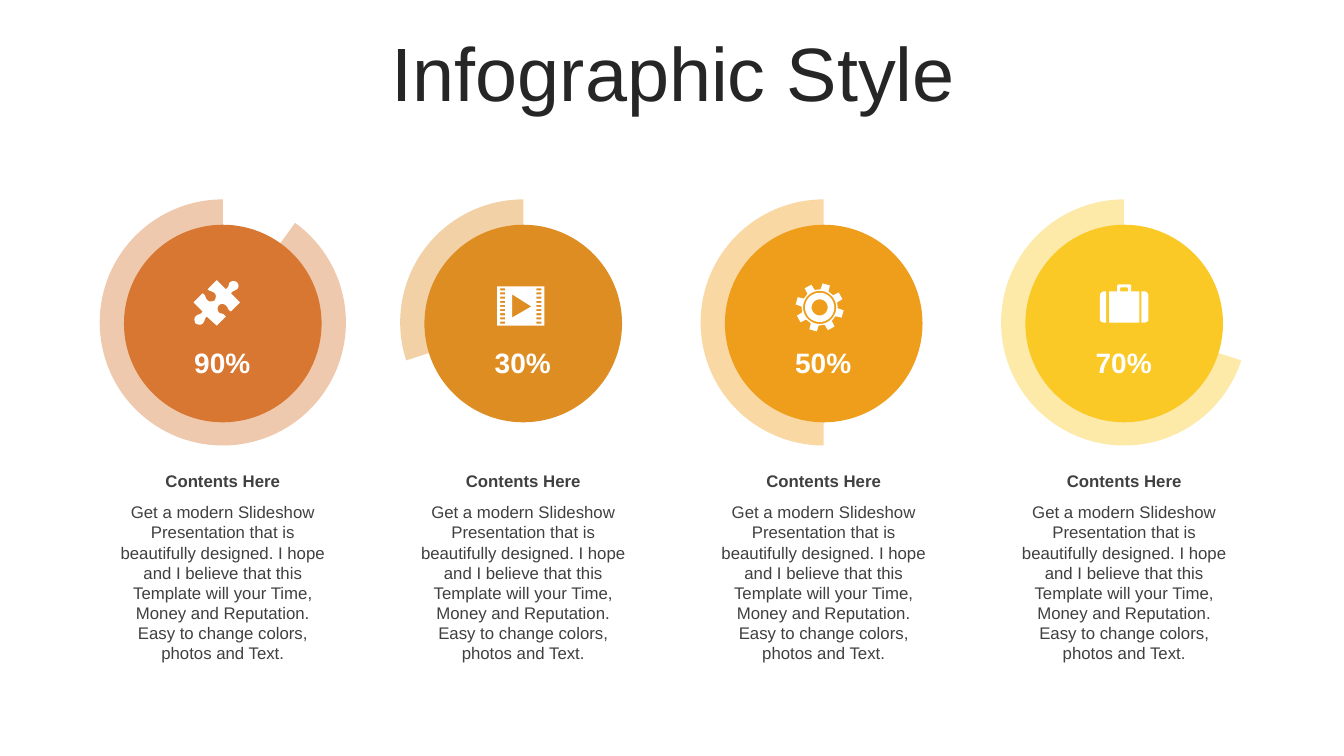
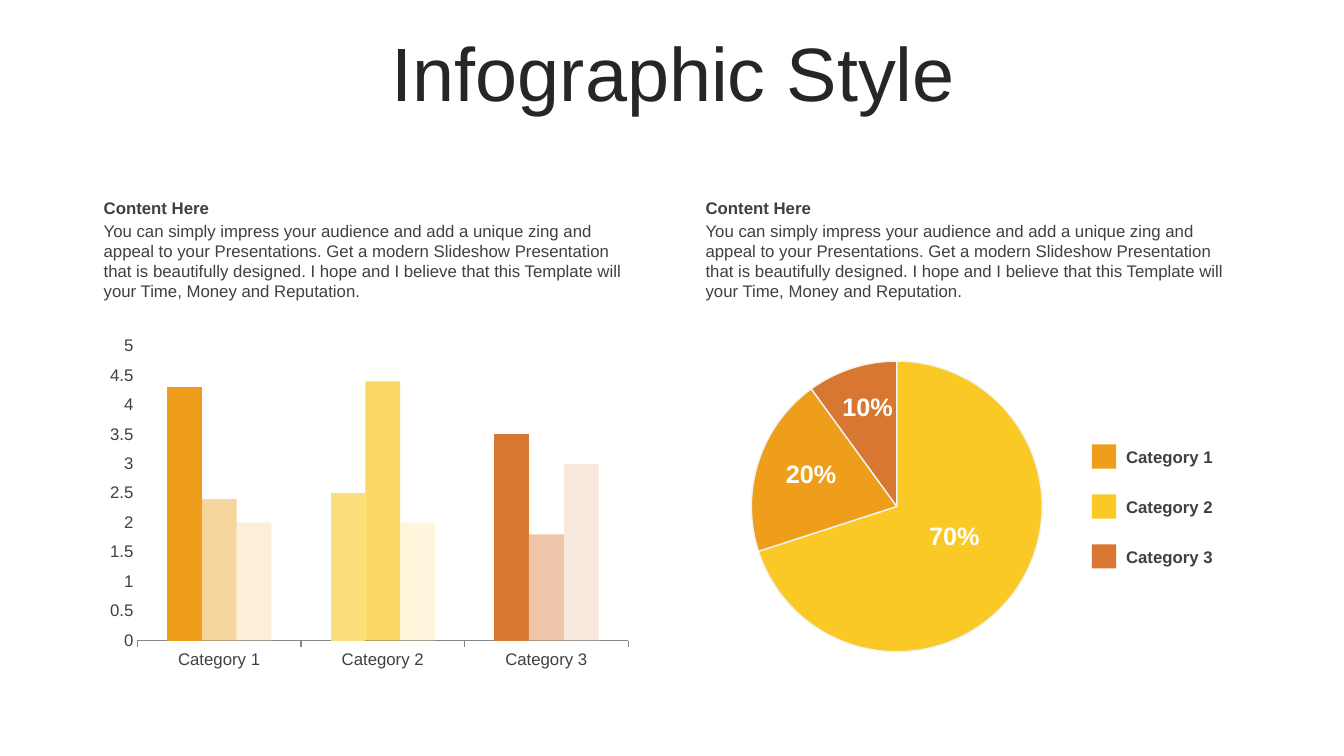
from dataclasses import dataclass
from math import cos, radians, sin

from lxml import etree
from pptx import Presentation
from pptx.chart.data import CategoryChartData
from pptx.dml.color import RGBColor
from pptx.enum.chart import XL_CHART_TYPE, XL_TICK_MARK
from pptx.enum.shapes import MSO_SHAPE
from pptx.enum.text import MSO_ANCHOR, PP_ALIGN
from pptx.oxml.ns import qn
from pptx.util import Inches, Pt

PIE, COLUMNS = XL_CHART_TYPE.PIE, XL_CHART_TYPE.COLUMN_CLUSTERED
TICK_NONE, TICK_OUTSIDE = XL_TICK_MARK.NONE, XL_TICK_MARK.OUTSIDE
OVAL, RECTANGLE = MSO_SHAPE.OVAL, MSO_SHAPE.RECTANGLE
TOP, MIDDLE = MSO_ANCHOR.TOP, MSO_ANCHOR.MIDDLE
LEFT, CENTER = PP_ALIGN.LEFT, PP_ALIGN.CENTER


@dataclass(frozen=True)
class Theme:
    font: str = "Arial"
    title_size: int = 54
    percent_size: int = 20
    label_size: int = 18
    body_size: int = 12
    title: str = "262626"
    body: str = "404040"
    white: str = "FFFFFF"
    axis: str = "868686"
    pie_line: str = "F2F2F2"
    rust: str = "D87732"
    ochre: str = "DE8D22"
    orange: str = "EF9E1B"
    yellow: str = "FAC926"
    rust_light: str = "EFC9AD"
    ochre_light: str = "F2D1A7"
    orange_light: str = "F9D8A4"
    yellow_light: str = "FDE9A8"
    rust_mid: str = "E8AD84"
    orange_mid: str = "F5C576"
    yellow_mid: str = "FCDF7D"


theme = Theme()


def add_text(page, text, frame, size=theme.body_size, color=theme.body,
             bold=False, align=LEFT, anchor=TOP):
    box = page.shapes.add_textbox(*map(Inches, frame))
    box.text_frame.word_wrap = True
    box.text_frame.vertical_anchor = anchor
    para = box.text_frame.paragraphs[0]
    para.text = text
    para.alignment = align
    para.font.name = theme.font
    para.font.size = Pt(size)
    para.font.bold = bold
    para.font.color.rgb = RGBColor.from_string(color)
    return para


def add_chart(page, kind, frame, categories, series, plot_area):
    """Add a chart whose plot area (x, y, w, h) is given in shares of the frame."""
    data = CategoryChartData()
    data.categories = categories
    for name, values in series:
        data.add_series(name, values)
    chart = page.shapes.add_chart(kind, *map(Inches, frame), data).chart
    chart.has_title = False
    chart.has_legend = False
    chart.font.name = theme.font
    chart.font.size = Pt(theme.body_size)
    chart.font.color.rgb = RGBColor.from_string(theme.body)
    area = chart.element.find(".//" + qn("c:plotArea"))
    for old in area.findall(qn("c:layout")):
        area.remove(old)
    layout = etree.Element(qn("c:layout"))
    manual = etree.SubElement(layout, qn("c:manualLayout"))
    settings = [("layoutTarget", "inner"), ("xMode", "edge"), ("yMode", "edge")]
    for tag, value in settings + list(zip("xywh", plot_area)):
        etree.SubElement(manual, qn("c:" + tag)).set("val", str(value))
    area.insert(0, layout)
    return chart


deck = Presentation()
deck.slide_width, deck.slide_height = Inches(13.33), Inches(7.5)

# Pages and their shared title
pages = []
for _ in range(2):
    page = deck.slides.add_slide(deck.slide_layouts[6])
    title = add_text(page, "Infographic Style", (0.35, 0.37, 12.66, 0.79),
                     theme.title_size, theme.title, align=CENTER, anchor=MIDDLE)
    title.line_spacing = 0.9
    pages.append(page)
rings_page, charts_page = pages

# Four percentage rings with text below
ring_text = ("Get a modern Slideshow Presentation that is beautifully designed. "
             "I hope and I believe that this Template will your Time, Money and "
             "Reputation. Easy to change colors, photos and Text.")
rings = [(90, theme.rust, theme.rust_light), (30, theme.ochre, theme.ochre_light),
         (50, theme.orange, theme.orange_light), (70, theme.yellow, theme.yellow_light)]
for index, (percent, color, light) in enumerate(rings):
    left = 0.84 + 2.98 * index
    add_text(rings_page, ring_text, (left + 0.21, 4.93, 2.32, 1.72), align=CENTER)
    add_text(rings_page, "Contents Here", (left + 0.21, 4.62, 2.32, 0.3),
             bold=True, align=CENTER)
    chart = add_chart(rings_page, PIE, (left, 1.78, 2.74, 2.84), ["1", "2"],
                      [("Series 1", (100 - percent, percent))], (0.05, 0.07, 0.9, 0.86))
    chart.plots[0].vary_by_categories = True
    points = chart.plots[0].series[0].points
    points[0].format.fill.background()
    points[1].format.fill.solid()
    points[1].format.fill.fore_color.rgb = RGBColor.from_string(light)
    for point in (points[0], points[1]):
        point.format.line.fill.background()
    disc = rings_page.shapes.add_shape(OVAL, Inches(left + 0.39), Inches(2.23),
                                       Inches(1.96), Inches(1.96))
    disc.shadow.inherit = False
    disc.fill.solid()
    disc.fill.fore_color.rgb = RGBColor.from_string(color)
    disc.line.fill.background()
    add_text(rings_page, f"{percent}%", (left + 0.91, 3.38, 0.91, 0.44),
             theme.percent_size, theme.white, True, CENTER)

# Icon outlines in inches: a pair is a corner, six numbers are a Bézier curve
puzzle = [[
    (2.35, 2.8), (2.37, 2.82, 2.37, 2.84, 2.36, 2.86),
    (2.33, 2.89, 2.31, 2.88, 2.29, 2.91), (2.38, 3), (2.29, 3.09),
    (2.25, 3.07, 2.27, 3.05, 2.24, 3.03), (2.22, 3.01, 2.19, 3.01, 2.17, 3.03),
    (2.16, 3.04, 2.15, 3.07, 2.17, 3.1), (2.2, 3.12, 2.21, 3.1, 2.24, 3.14),
    (2.15, 3.23), (2.05, 3.14), (2.02, 3.17, 2.04, 3.18, 2.01, 3.21),
    (1.99, 3.23, 1.96, 3.22, 1.94, 3.21), (1.93, 3.19, 1.92, 3.16, 1.94, 3.14),
    (1.96, 3.11, 1.99, 3.13, 2.01, 3.09), (1.92, 3), (2.01, 2.91),
    (2.05, 2.93, 2.03, 2.96, 2.06, 2.98), (2.08, 3, 2.11, 2.99, 2.13, 2.98),
    (2.14, 2.96, 2.15, 2.93, 2.13, 2.91), (2.1, 2.88, 2.09, 2.9, 2.06, 2.87),
    (2.15, 2.78), (2.24, 2.87), (2.28, 2.84, 2.26, 2.83, 2.28, 2.8),
    (2.31, 2.78, 2.34, 2.79, 2.35, 2.8)]]

film = [[(4.93, 2.84), (5.4, 2.84), (5.4, 3.23), (4.93, 3.23)],
        [(5.08, 2.92), (5.08, 3.15), (5.27, 3.04)]]
for row in range(9):
    top = 2.86 + 0.33 / 8 * row
    for left in (4.96, 5.32):
        film.append([(left, top), (left, top + 0.02),
                     (left + 0.05, top + 0.02), (left + 0.05, top)])

gear_x, gear_y = 8.13, 3.05
tooth = [(-13, 0.18), (-9, 0.24), (9, 0.24), (13, 0.18)]
gear_polar = [[(16 + 45 * step + turn, radius) for step in range(8)
               for turn, radius in tooth]]
gear_polar += [[(angle, radius) for angle in range(0, 360, 10)]
               for radius in (0.165, 0.145, 0.08)]
gear = [[(gear_x + radius * cos(radians(angle)), gear_y + radius * sin(radians(angle)))
         for angle, radius in contour] for contour in gear_polar]

briefcase = [
    [(11.32, 2.89), (11.35, 2.89), (11.37, 2.89, 11.39, 2.91, 11.39, 2.93),
     (11.39, 3.17), (11.39, 3.19, 11.37, 3.2, 11.35, 3.2), (11.32, 3.2)],
    [(10.97, 2.89), (10.95, 2.89), (10.93, 2.89, 10.91, 2.91, 10.91, 2.93),
     (10.91, 3.17), (10.91, 3.19, 10.93, 3.2, 10.95, 3.2), (10.97, 3.2)],
    [(11.1, 2.82), (11.2, 2.82), (11.21, 2.82, 11.22, 2.83, 11.22, 2.84),
     (11.22, 2.89), (11.3, 2.89), (11.3, 3.2), (11, 3.2), (11, 2.89),
     (11.08, 2.89), (11.08, 2.84), (11.08, 2.83, 11.09, 2.82, 11.1, 2.82)],
    [(11.12, 2.85), (11.11, 2.85, 11.11, 2.86, 11.11, 2.87), (11.11, 2.89),
     (11.19, 2.89), (11.19, 2.87), (11.19, 2.86, 11.18, 2.85, 11.18, 2.85)]]

# Draw the icons, turning each curve into short lines
for icon in (puzzle, film, gear, briefcase):
    builder = None
    for contour in icon:
        corners = []
        for step in contour:
            if len(step) == 2:
                corners.append(step)
                continue
            x0, y0 = corners[-1]
            x1, y1, x2, y2, x3, y3 = step
            for t in (0.2, 0.4, 0.6, 0.8, 1):
                a, b, c, d = (1 - t)**3, 3 * t * (1 - t)**2, 3 * t**2 * (1 - t), t**3
                corners.append((a * x0 + b * x1 + c * x2 + d * x3,
                                a * y0 + b * y1 + c * y2 + d * y3))
        corners = [(Inches(x), Inches(y)) for x, y in corners]
        if builder is None:
            builder = rings_page.shapes.build_freeform(*corners[0])
        else:
            builder.move_to(*corners[0])
        builder.add_line_segments(corners[1:], close=True)
    shape = builder.convert_to_shape()
    shape.shadow.inherit = False
    shape.fill.solid()
    shape.fill.fore_color.rgb = RGBColor.from_string(theme.white)
    shape.line.fill.background()

# Two introductions above the charts
intro = ("You can simply impress your audience and add a unique zing and appeal to "
         "your Presentations. Get a modern Slideshow Presentation that is beautifully "
         "designed. I hope and I believe that this Template will your Time, Money and "
         "Reputation.")
for left in (0.93, 6.9):
    add_text(charts_page, "Content Here", (left, 1.91, 5.51, 0.3), bold=True, anchor=MIDDLE)
    add_text(charts_page, intro, (left, 2.14, 5.47, 0.91))

# Column chart: name, values, point colours, opacity in percent
categories = ["Category 1", "Category 2", "Category 3"]
column_series = [
    ("Series 1", (4.3, 2.5, 3.5), (theme.orange, theme.yellow_mid, theme.rust), 100),
    ("Series 2", (2.4, 4.4, 1.8), (theme.orange_mid, theme.yellow, theme.rust_mid), 70),
    ("Series 3", (2, 2, 3), (theme.orange_light, theme.yellow_light, theme.rust_light), 40)]
chart = add_chart(charts_page, COLUMNS, (0.93, 3.26, 5.41, 3.44), categories,
                  [entry[:2] for entry in column_series], (0.08, 0.05, 0.9, 0.85))
plot = chart.plots[0]
plot.gap_width, plot.overlap, plot.vary_by_categories = 170, 0, False
nodes = chart.element.findall(".//" + qn("c:ser"))
for series, node, (_, _, colors, opacity) in zip(plot.series, nodes, column_series):
    for index, color in enumerate(colors):
        fill = series.points[index].format.fill
        fill.solid()
        fill.fore_color.rgb = RGBColor.from_string(color)
    if opacity < 100:
        for color_node in node.iter(qn("a:srgbClr")):
            etree.SubElement(color_node, qn("a:alpha")).set("val", str(opacity * 1000))
value_axis, category_axis = chart.value_axis, chart.category_axis
value_axis.minimum_scale, value_axis.maximum_scale, value_axis.major_unit = 0, 5, 0.5
value_axis.has_major_gridlines = False
value_axis.major_tick_mark = TICK_NONE
value_axis.format.line.fill.background()
value_axis.tick_labels.number_format = "General"
value_axis.tick_labels.number_format_is_linked = False
category_axis.major_tick_mark = TICK_OUTSIDE
category_axis.format.line.color.rgb = RGBColor.from_string(theme.axis)
category_axis.format.line.width = Pt(0.75)

# Pie chart with its labels: value, colour, label position
slices = [(70, theme.yellow, 9.08, 5.11), (20, theme.orange, 7.66, 4.5),
          (10, theme.rust, 8.22, 3.83)]
chart = add_chart(charts_page, PIE, (7.31, 3.44, 3.17, 3.17), ["1", "2", "3"],
                  [("Series 1", [entry[0] for entry in slices])],
                  (0.045, 0.045, 0.91, 0.91))
chart.plots[0].vary_by_categories = True
for index, (value, color, left, top) in enumerate(slices):
    point = chart.plots[0].series[0].points[index]
    point.format.fill.solid()
    point.format.fill.fore_color.rgb = RGBColor.from_string(color)
    point.format.line.color.rgb = RGBColor.from_string(theme.pie_line)
    point.format.line.width = Pt(1)
    add_text(charts_page, f"{value}%", (left, top, 0.77, 0.4), theme.label_size,
             theme.white, True, CENTER, MIDDLE)

# Legend beside the pie
for index, color in enumerate((theme.orange, theme.yellow, theme.rust)):
    top = 4.41 + 0.495 * index
    swatch = charts_page.shapes.add_shape(RECTANGLE, Inches(10.83), Inches(top),
                                          Inches(0.24), Inches(0.24))
    swatch.shadow.inherit = False
    swatch.fill.solid()
    swatch.fill.fore_color.rgb = RGBColor.from_string(color)
    swatch.line.fill.background()
    add_text(charts_page, categories[index], (11.07, top - 0.03, 1.09, 0.3),
             bold=True, anchor=MIDDLE)

deck.save("out.pptx")
